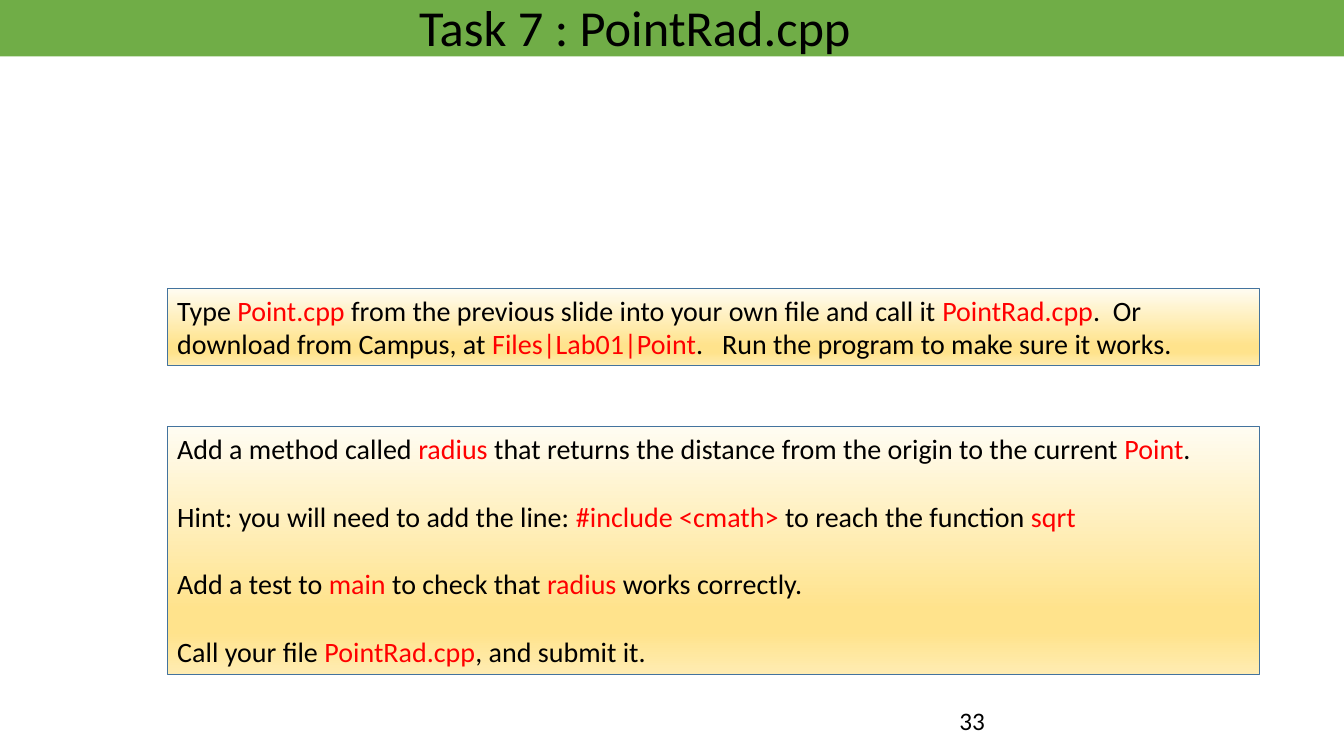
"""Build the Task 7 slide: a title bar, two instruction boxes and a slide number."""
import pptx
import pptx.dml.color
import pptx.enum.dml
import pptx.enum.shapes
import pptx.enum.text
import pptx.oxml
import pptx.oxml.ns
import pptx.util
from lxml import etree

COLORS = {"bar": "70AD47", "text": "000000", "code": "FF0000", "border": "43739E"}
BOX_STOPS = [(0, "FFFCF2"), (74, "FFE38C"), (83, "FFE38C"), (100, "FFECB2")]
FONT = "Calibri"
BOX_LEFT, BOX_WIDTH = 12.45, 81.3

SETUP = [
    "Type *Point.cpp *from the previous slide into your own file and call it "
    "*PointRad.cpp*.  Or download from Campus, at *Files|Lab01|Point*.   "
    "Run the program to make sure it works."
]
STEPS = [
    "Add a method called *radius* that returns the distance from the origin "
    "to the current *Point*.",
    "Hint: you will need to add the line: *#include <cmath> *to reach the function *sqrt*",
    "Add a test to *main* to check that *radius* works correctly.",
    "Call your file *PointRad.cpp*, and submit it.",
]


def rgb(name):
    return pptx.dml.color.RGBColor.from_string(COLORS[name])


def write(sp, paragraphs, size=20, gap=0, anchor=pptx.enum.text.MSO_ANCHOR.MIDDLE):
    tf = sp.text_frame
    tf.word_wrap = True
    tf.vertical_anchor = anchor
    for i, text in enumerate(paragraphs):
        p = tf.add_paragraph() if i else tf.paragraphs[0]
        p.alignment = pptx.enum.text.PP_ALIGN.LEFT
        p.space_before = pptx.util.Pt(gap if i else 0)
        for j, part in enumerate(text.split("*")):
            if part:
                r = p.add_run()
                r.text = part
                r.font.name = FONT
                r.font.size = pptx.util.Pt(size)
                r.font.color.rgb = rgb("code" if j % 2 else "text")


class Deck:
    def __init__(self):
        self.prs = pptx.Presentation()
        self.prs.slide_width = pptx.util.Inches(13.333)
        self.prs.slide_height = pptx.util.Inches(7.5)
        self.s = self.prs.slides.add_slide(self.prs.slide_layouts[6])

    def place(self, left, top, width, height):
        column, row = self.prs.slide_width / 100, self.prs.slide_height / 100
        return [round(v) for v in (left * column, top * row, width * column, height * row)]

    def rect(self, *area):
        sp = self.s.shapes.add_shape(
            pptx.enum.shapes.MSO_SHAPE.RECTANGLE, *self.place(*area))
        sp.shadow.inherit = False
        return sp

    def bar(self, *area):
        sp = self.rect(*area)
        sp.fill.solid()
        sp.fill.fore_color.rgb = rgb("bar")
        sp.line.fill.background()

    def box(self, paragraphs, top, height, gap=0):
        sp = self.rect(BOX_LEFT, top, BOX_WIDTH, height)
        sp.fill.gradient()
        qn = pptx.oxml.ns.qn
        grad = sp.element.spPr.find(qn("a:gradFill"))
        stops = grad.find(qn("a:gsLst"))
        for old in list(stops):
            stops.remove(old)
        for share, color in BOX_STOPS:
            stop = etree.SubElement(stops, qn("a:gs"), pos=str(share * 1000))
            etree.SubElement(stop, qn("a:srgbClr"), val=color)
        grad.find(qn("a:lin")).set("ang", str(90 * 60000))
        sp.line.color.rgb = rgb("border")
        sp.line.width = pptx.util.Pt(0.75)
        write(sp, paragraphs, gap=gap, anchor=pptx.enum.text.MSO_ANCHOR.TOP)

    def label(self, text, size, *area):
        sp = self.s.shapes.add_textbox(*self.place(*area))
        write(sp, [text], size=size)


def main():
    deck = Deck()
    deck.bar(0, 0, 100, 7.47)
    deck.label("Task 7 : PointRad.cpp", 36, 30.45, -1.2, 47.25, 9.47)
    deck.box(SETUP, 38.13, 10.27)
    deck.box(STEPS, 56.4, 32.8, gap=24.4)
    deck.label("33", 18, 70.65, 92.67, 22.5, 5.33)
    deck.prs.save("out.pptx")


if __name__ == "__main__":
    main()
